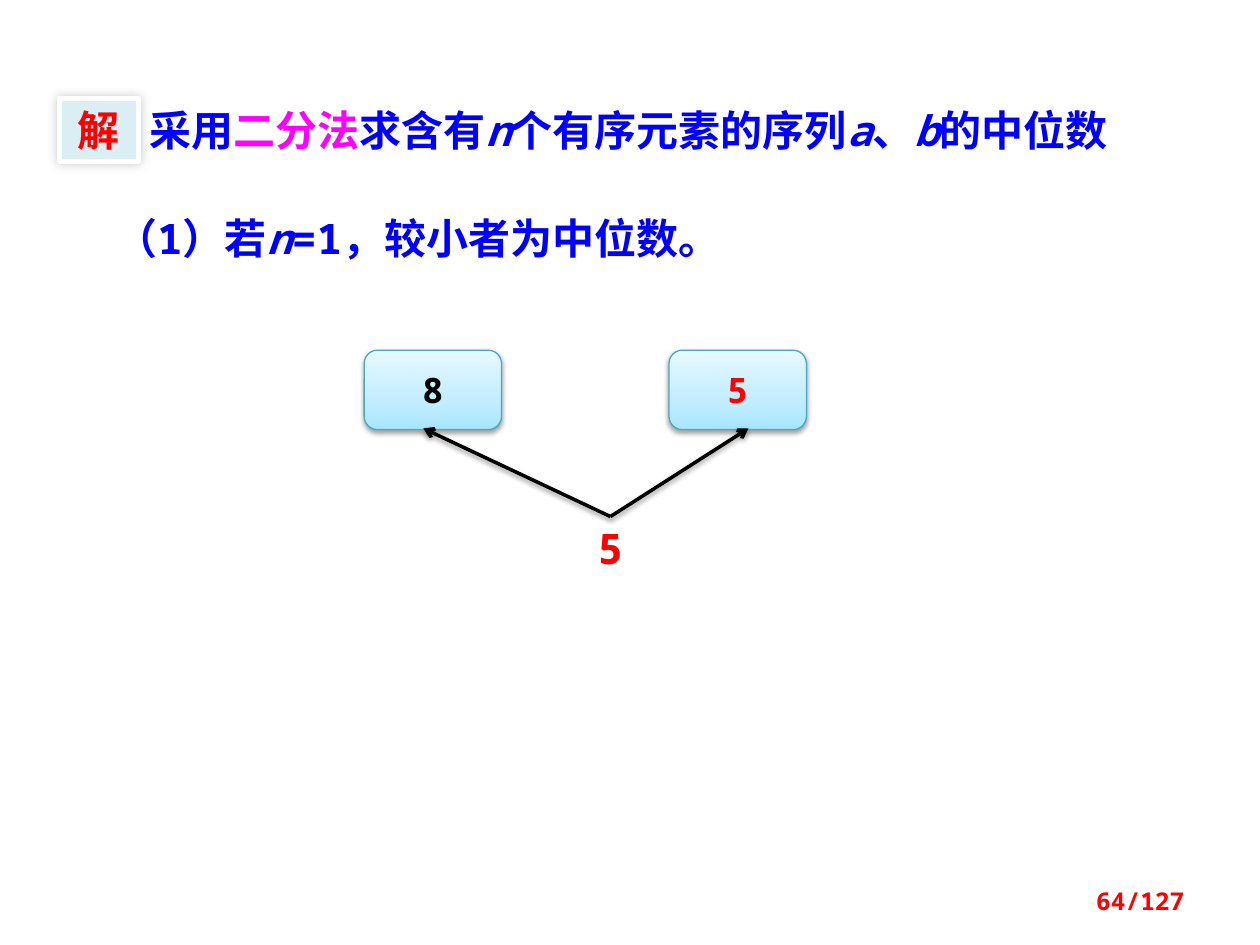
import pptx
import pptx.dml.color
import pptx.enum.shapes
import pptx.enum.text
import pptx.oxml
import pptx.oxml.ns
import pptx.util
from pptx.util import Inches

COLORS = {
    "blue": "0000FF", "magenta": "FF00FF", "red": "FF0000", "black": "000000",
    "white": "FFFFFF", "badge": "DBEEF4", "node_line": "46AAC5",
}
NODE_GRADIENT = [(0, "A7E6FF"), (35, "C1EDFF"), (100, "E7F8FF")]
NODE_SHADOW = {"alpha": 38, "blur": 3.1, "distance": 1.6, "angle": 90}
BADGE_SHADOW = {"alpha": 20, "blur": 6, "distance": 0, "angle": 225}
MONO, CJK = "Noto Sans Mono", "Noto Sans CJK SC"
ALIGN = pptx.enum.text.PP_ALIGN
ANCHOR = pptx.enum.text.MSO_ANCHOR
SHAPE = pptx.enum.shapes.MSO_SHAPE
qn = pptx.oxml.ns.qn


def rgb(name):
    return pptx.dml.color.RGBColor.from_string(COLORS[name])


def add_child(parent, tag, **attributes):
    child = parent.makeelement(qn(tag), {})
    for key, value in attributes.items():
        child.set(key, str(value))
    parent.append(child)
    return child


def set_shadow(properties, alpha, blur, distance, angle):
    effects = properties.find(qn("a:effectLst"))
    if effects is None:
        effects = add_child(properties, "a:effectLst")
    shadow = add_child(effects, "a:outerShdw", blurRad=pptx.util.Pt(blur),
                       dist=pptx.util.Pt(distance), dir=angle * 60000,
                       rotWithShape=0)
    color = add_child(shadow, "a:srgbClr", val=COLORS["black"])
    add_child(color, "a:alpha", val=alpha * 1000)


def write_text(shape, parts, size, align=ALIGN.LEFT, anchor=ANCHOR.TOP, font=MONO):
    """Fill one paragraph with (text, colour, italic) parts."""
    text_frame = shape.text_frame
    text_frame.word_wrap = True
    text_frame.vertical_anchor = anchor
    paragraph = text_frame.paragraphs[0]
    paragraph.alignment = align
    for text, color, italic in parts:
        run = paragraph.add_run()
        run.text = text
        run.font.size = pptx.util.Pt(size)
        run.font.name = font
        run.font.bold = True
        run.font.italic = italic
        run.font.color.rgb = rgb(color)
        add_child(run.font._element, "a:ea", typeface=font)


def add_label(slide, box, parts, size=24, **options):
    label = slide.shapes.add_textbox(*map(Inches, box))
    write_text(label, parts, size, **options)
    return label


def add_box(slide, preset, box, line_color, line_width, shadow):
    shape = slide.shapes.add_shape(preset, *map(Inches, box))
    shape.line.color.rgb = rgb(line_color)
    shape.line.width = pptx.util.Pt(line_width)
    shape.shadow.inherit = False
    set_shadow(shape._element.spPr, **shadow)
    return shape


def add_node(slide, left, value, color):
    node = add_box(slide, SHAPE.ROUNDED_RECTANGLE, (left, 2.78, 1.09, 0.63),
                   "node_line", 0.75, NODE_SHADOW)
    node.fill.gradient()
    node.fill.gradient_angle = 90
    stops = node._element.spPr.find(qn("a:gradFill")).find(qn("a:gsLst"))
    for stop in list(stops):
        stops.remove(stop)
    for position, stop_color in NODE_GRADIENT:
        stop = add_child(stops, "a:gs", pos=position * 1000)
        add_child(stop, "a:srgbClr", val=stop_color)
    write_text(node, [(value, color, False)], 20, ALIGN.CENTER, ANCHOR.MIDDLE)


def add_badge(slide, box, text):
    badge = add_box(slide, SHAPE.RECTANGLE, box, "white", 3, BADGE_SHADOW)
    badge.fill.solid()
    badge.fill.fore_color.rgb = rgb("badge")
    write_text(badge, [(text, "red", False)], 24, ALIGN.CENTER, font=CJK)


def add_arrow(slide, source, end_x, end_y):
    arrow = slide.shapes.add_connector(
        pptx.enum.shapes.MSO_CONNECTOR.STRAIGHT,
        source.left + source.width // 2, source.top, Inches(end_x), Inches(end_y))
    arrow.begin_connect(source, 0)
    arrow.line.color.rgb = rgb("black")
    arrow.line.width = pptx.util.Pt(2)
    add_child(arrow.line._get_or_add_ln(), "a:tailEnd", type="arrow")
    set_shadow(arrow._element.spPr, **NODE_SHADOW)


def main():
    presentation = pptx.Presentation()
    presentation.slide_width, presentation.slide_height = Inches(10), Inches(7.5)
    slide = presentation.slides.add_slide(presentation.slide_layouts[6])

    # Statement of the method
    add_label(slide, (1.09, 0.78, 8.05, 0.5), [
        ("采用", "blue", False), ("二分法", "magenta", False),
        ("求含有", "blue", False), ("n", "blue", True),
        ("个有序元素的序列", "blue", False), ("a", "blue", True),
        ("、", "blue", False), ("b", "blue", True), ("的中位数", "blue", False)])

    # The two sequences and their median
    add_node(slide, 2.89, "8", "black")
    add_node(slide, 5.31, "5", "red")
    median = add_label(slide, (4.61, 4.1, 0.47, 0.5), [("5", "red", False)],
                       align=ALIGN.CENTER)
    for end_x in (5.94, 3.36):
        add_arrow(slide, median, end_x, 3.4)

    # First case
    add_label(slide, (0.62, 1.64, 5.39, 0.5), [
        ("（1）若", "blue", False), ("n", "blue", True),
        ("=1，较小者为中位数。", "blue", False)], align=ALIGN.CENTER)

    # Solution badge and page number
    add_badge(slide, (0.47, 0.78, 0.63, 0.5), "解")
    add_label(slide, (7.17, 6.95, 2.33, 0.4), [("64/127", "red", False)], size=14,
              align=ALIGN.RIGHT, anchor=ANCHOR.MIDDLE)

    presentation.save("out.pptx")


if __name__ == "__main__":
    main()
